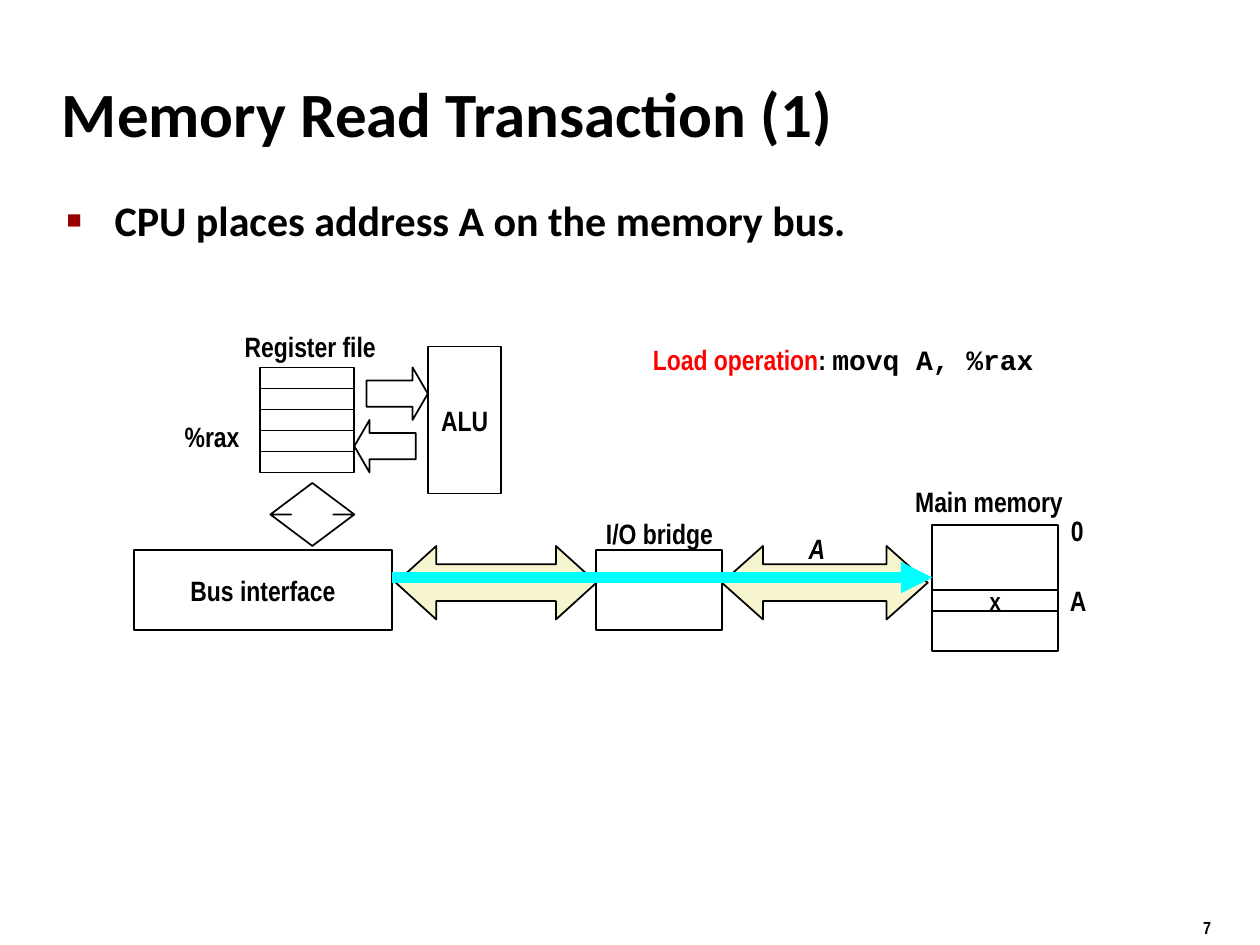
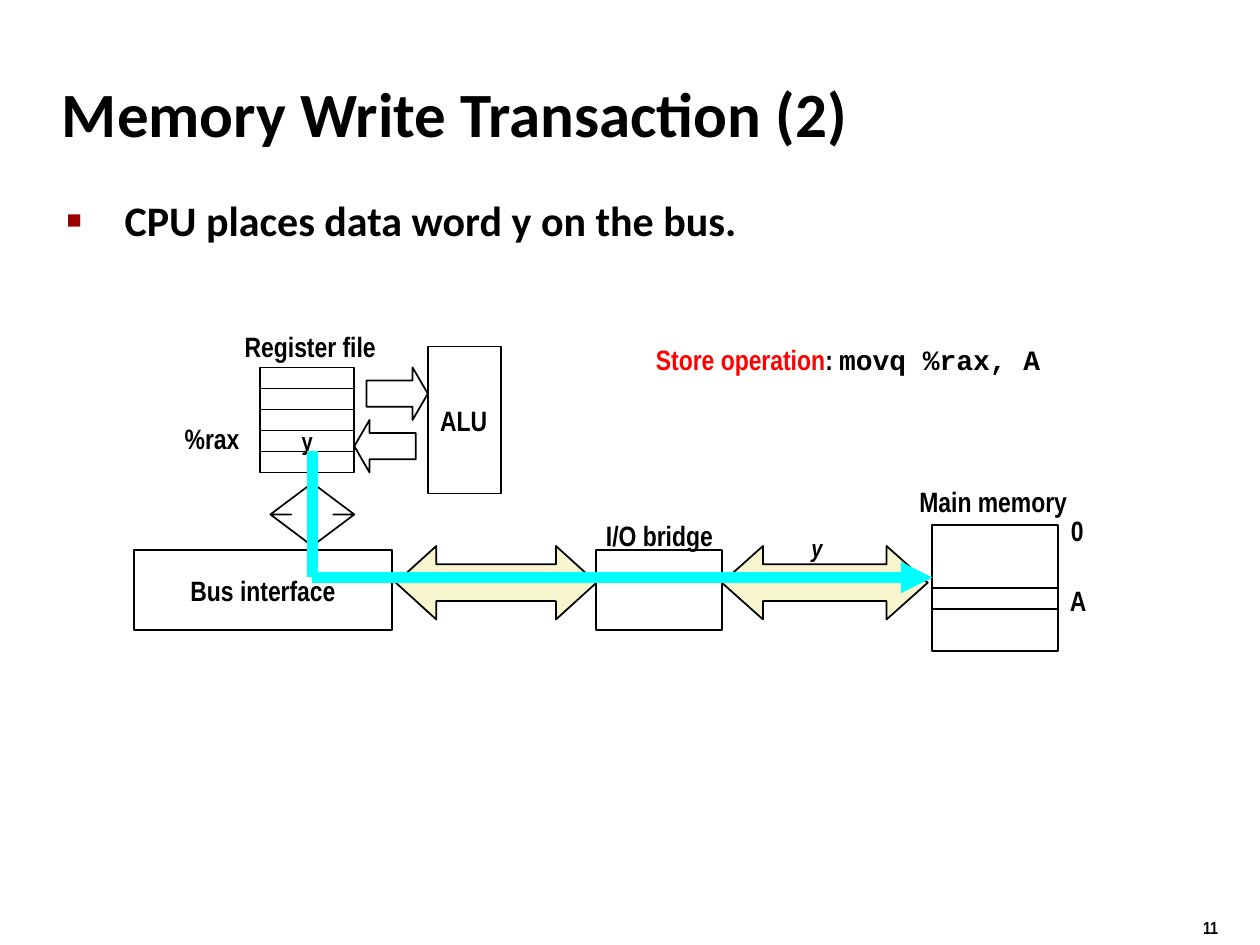
from lxml import etree
from pptx import Presentation
from pptx.dml.color import RGBColor
from pptx.enum.shapes import MSO_CONNECTOR, MSO_SHAPE
from pptx.enum.text import MSO_ANCHOR, MSO_AUTO_SIZE, PP_ALIGN
from pptx.oxml.ns import qn
from pptx.util import Inches, Pt

BLACK = RGBColor(0x00, 0x00, 0x00)
WHITE = RGBColor(0xFF, 0xFF, 0xFF)
RED = RGBColor(0xFF, 0x00, 0x00)
BULLET = RGBColor(0x99, 0x00, 0x00)
BUS = RGBColor(0xF7, 0xF5, 0xCD)
SIGNAL = RGBColor(0x00, 0xFF, 0xFF)

HEAD_FONT, LABEL_FONT, CODE_FONT = "Calibri", "Arial Narrow", "Courier New"
COLS, ROWS = 120, 90
LEFT, CENTER = PP_ALIGN.LEFT, PP_ALIGN.CENTER
TOP, MIDDLE = MSO_ANCHOR.TOP, MSO_ANCHOR.MIDDLE
RECT = MSO_SHAPE.RECTANGLE
RIGHT_ARROW, LEFT_ARROW = MSO_SHAPE.RIGHT_ARROW, MSO_SHAPE.LEFT_ARROW
TWO_WAY, UP_DOWN = MSO_SHAPE.LEFT_RIGHT_ARROW, MSO_SHAPE.UP_DOWN_ARROW

REGISTER_COUNT, REGISTER_HEIGHT = 5, 2
SIGNAL_ROW = 55


class Deck:
    """Shared style, the grid and the slide being drawn."""

    def __init__(self):
        self.prs = Presentation()
        self.prs.slide_width, self.prs.slide_height = Inches(10), Inches(7.5)
        self.slide = None

    def grid(self, *lengths):
        """Turn alternating columns and rows into slide lengths."""
        units = (self.prs.slide_width / COLS, self.prs.slide_height / ROWS)
        return [round(n * units[i % 2]) for i, n in enumerate(lengths)]

    def run(self, p, text, size, font=LABEL_FONT, color=BLACK, italic=None):
        r = p.add_run()
        r.text = text
        r.font.size, r.font.name = Pt(size), font
        r.font.bold, r.font.italic = True, italic
        r.font.color.rgb = color

    def placeholder(self, index, box, text, size, anchor, margin, hanging):
        sp = self.slide.placeholders[index]
        sp.left, sp.top, sp.width, sp.height = self.grid(*box)
        tf = sp.text_frame
        tf.vertical_anchor = anchor
        p = tf.paragraphs[0]
        p.alignment = LEFT
        pPr = p._p.get_or_add_pPr()
        pPr.set("marL", str(Inches(margin)))
        pPr.set("indent", str(-Inches(hanging)))
        self.run(p, text, size, HEAD_FONT)
        return p

    def new_slide(self, title, point, indent, number):
        self.slide = self.prs.slides.add_slide(self.prs.slide_layouts[1])
        self.placeholder(0, (4.7, 5.7, 99.6, 10), title, 36, MIDDLE, 0.13, 0.13)
        p = self.placeholder(1, (5.15, 17.9, 103.7, 65.3), point, 24, TOP, indent, indent)
        p.space_before = Pt(4.8)
        pPr = p._p.get_or_add_pPr()
        color = etree.SubElement(pPr, qn("a:buClr"))
        etree.SubElement(color, qn("a:srgbClr"), val=str(BULLET))
        etree.SubElement(pPr, qn("a:buSzPct"), val="60000")
        etree.SubElement(pPr, qn("a:buChar"), char="■")
        self.label([(number, {})], 113.4, 86.75, 9, 3.1, 10, LEFT, TOP)

    def fill_text(self, sp, runs, size, align, anchor):
        tf = sp.text_frame
        tf.word_wrap = False
        tf.vertical_anchor = anchor
        p = tf.paragraphs[0]
        p.alignment = align
        for text, style in runs:
            self.run(p, text, size, **style)

    def label(self, runs, col, row, width, height=4.3, size=16, align=CENTER, anchor=MIDDLE):
        sp = self.slide.shapes.add_textbox(*self.grid(col, row, width, height))
        self.fill_text(sp, runs, size, align, anchor)
        sp.text_frame.auto_size = MSO_AUTO_SIZE.SHAPE_TO_FIT_TEXT

    def shape(self, kind, box, fill=None, adjust=(), text=None, size=16, align=CENTER):
        sp = self.slide.shapes.add_shape(kind, *self.grid(*box))
        sp.shadow.inherit = False
        if fill is None:
            sp.fill.background()
        else:
            sp.fill.solid()
            sp.fill.fore_color.rgb = fill
        sp.line.color.rgb, sp.line.width = BLACK, Pt(1)
        for i, value in enumerate(adjust):
            sp.adjustments[i] = value
        if text:
            self.fill_text(sp, [(text, {})], size, align, MIDDLE)

    def signal(self, start, end, arrow=False):
        line = self.slide.shapes.add_connector(MSO_CONNECTOR.STRAIGHT, *self.grid(*start, *end))
        line.line.color.rgb, line.line.width = SIGNAL, Pt(6)
        if arrow:
            etree.SubElement(line.line._get_or_add_ln(), qn("a:tailEnd"), type="triangle")
        etree.SubElement(line._element.spPr, qn("a:effectLst"))


def draw_cpu(deck, rax_value, rax_row, alu_align):
    for i in range(REGISTER_COUNT):
        deck.shape(RECT, (24.75, 35 + i * REGISTER_HEIGHT, 9, REGISTER_HEIGHT),
                   text=rax_value if i == 3 else None, size=14)
    deck.shape(RIGHT_ARROW, (34.9, 35, 5.85, 5), adjust=(0.5, 0.29))
    deck.shape(LEFT_ARROW, (33.75, 40, 5.85, 5), adjust=(0.5, 0.29))
    deck.shape(RECT, (40.75, 33, 7, 14), text="ALU", align=alu_align)
    deck.label([("Register file", {})], 22.1, 30.85, 14.9)
    deck.label([("%rax", {})], 16.4, rax_row, 7.6)
    # python-pptx lists this arrow's head length before its shaft width
    deck.shape(UP_DOWN, (25.75, 46, 8, 6), adjust=(0.2, 0.5))
    deck.shape(RECT, (12.75, 52.4, 24.6, 7.6), WHITE, text="Bus interface")


def draw_buses(deck, bridge_row):
    deck.shape(TWO_WAY, (68.75, 52, 19.6, 7), BUS, (0.5, 0.56))
    deck.shape(RECT, (56.8, 52.4, 12, 7.6))
    deck.shape(TWO_WAY, (37.7, 52, 19.1, 7), BUS, (0.5, 0.55))
    deck.label([("I/O bridge", {})], 56.5, bridge_row, 12.6)


def draw_memory(deck, title_col, cell_row, cell_value):
    deck.shape(RECT, (88.8, 50, 12, 12))
    deck.shape(RECT, (88.8, cell_row, 12, 2), text=cell_value, size=14)
    deck.label([("Main memory", {})], title_col, 45.6, 17)
    deck.label([("0", {})], 100.8, 48.4, 3.6, align=LEFT)
    deck.label([("A", {})], 100.7, 55.05, 4, align=LEFT)


def draw_operation(deck, name, code, col, width):
    runs = [(name, {"color": RED}), (": ", {}), (code, {"font": CODE_FONT})]
    deck.label(runs, col, 32, width, 7.5, align=LEFT, anchor=TOP)


def draw_route(deck, *points):
    """Join the points; the last leg carries the arrowhead."""
    for i, (start, end) in enumerate(zip(points, points[1:]), 2):
        deck.signal(start, end, arrow=i == len(points))


def main():
    deck = Deck()
    memory_port = (88.8, SIGNAL_ROW)

    deck.new_slide("Memory Read Transaction (1)",
                   "CPU places address A on the memory bus.", 0.38, "7")
    draw_buses(deck, 48.6)
    draw_cpu(deck, None, 39.4, CENTER)
    draw_memory(deck, 85.7, 56.2, "x")
    draw_route(deck, (37.35, SIGNAL_ROW), memory_port)
    deck.label([("A", {"italic": True})], 75.8, 50.05, 4)
    draw_operation(deck, "Load operation", "movq A, %rax", 61, 38.8)

    deck.new_slide("Memory Write Transaction (2)",
                   "CPU places data word y on the bus.", 0.46, "11")
    draw_buses(deck, 48.8)
    draw_cpu(deck, "y", 39.6, LEFT)
    draw_memory(deck, 86.1, 56, None)
    draw_route(deck, (29.75, 43), (29.75, SIGNAL_ROW), memory_port)
    deck.label([("y", {"italic": True})], 76.1, 50.15, 3.5, 4, 14, LEFT)
    draw_operation(deck, "Store operation", "movq %rax, A", 61.3, 39.1)

    deck.prs.save("out.pptx")


if __name__ == "__main__":
    main()
